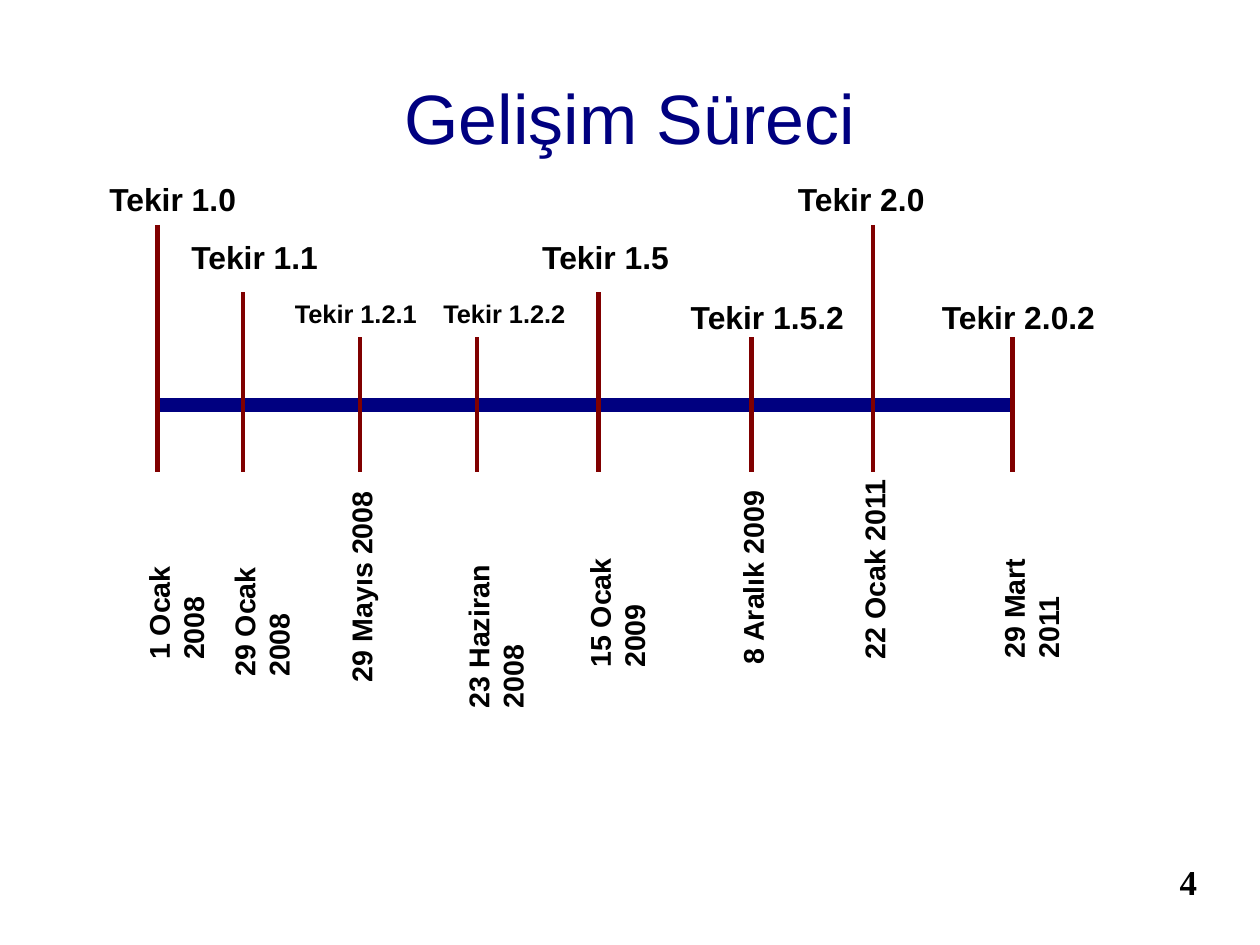
import pptx
import pptx.util
import pptx.dml.color
import pptx.enum.shapes
import pptx.enum.text
import pptx.oxml.ns
from lxml import etree

COLORS = {"navy": "000080", "red": "800000", "black": "000000"}
COLS, ROWS = 28, 21
CELL = 11.02 / COLS
AXIS, FOOT = 9, 10.5
ALIGN = pptx.enum.text.PP_ALIGN
ANCHOR = pptx.enum.text.MSO_ANCHOR

# Row of the label and of the tick's upper end, for each tier
TIERS = {"high": (3.88, 5), "mid": (5.15, 6.5), "low": (6.5, 7.5)}

# Column, tier, label, label's column, width and size, date, its middle row and length
EVENTS = [
    (3.5, "high", "Tekir 1.0", 2.18, 3.33, 20, "1 Ocak 2008", 12.83, 4.17),
    (5.4, "mid", "Tekir 1.1", 4, 3.33, 20, "29 Ocak 2008", 13.03, 4.52),
    (8, "low", "Tekir 1.2.1", 6.3, 3.23, 16, "29 Mayıs 2008", 13.03, 4.75),
    (10.6, "low", "Tekir 1.2.2", 9.6, 3.23, 16, "23 Haziran 2008", 13.36, 5.26),
    (13.3, "mid", "Tekir 1.5", 11.8, 3.33, 20, "15 Ocak 2009", 12.83, 4.52),
    (16.7, "low", "Tekir 1.5.2", 15.1, 3.91, 20, "8 Aralık 2009", 12.83, 4.37),
    (19.4, "high", "Tekir 2.0", 17.48, 3.33, 20, "22 Ocak 2011", 12.65, 4.5),
    (22.5, "low", "Tekir 2.0.2", 20.68, 3.91, 20, "29 Mart 2011", 12.75, 4.27),
]


def grid(*cells):
    return [pptx.util.Inches(cell * CELL) for cell in cells]


def paint(name):
    return pptx.dml.color.RGBColor.from_string(COLORS[name])


def add_text(slide, text, area, size, color="black", bold=True, face="Arial",
             align=ALIGN.LEFT, anchor=ANCHOR.TOP, wrap=False, pad=(0.1, 0.05)):
    box = slide.shapes.add_textbox(*grid(*area))
    frame = box.text_frame
    frame.word_wrap = wrap
    frame.vertical_anchor = anchor
    frame.margin_left = frame.margin_right = pptx.util.Inches(pad[0])
    frame.margin_top = frame.margin_bottom = pptx.util.Inches(pad[1])
    frame.text = text
    line = frame.paragraphs[0]
    line.alignment = align
    font = line.runs[0].font
    font.name, font.size, font.bold = face, pptx.util.Pt(size), bold
    font.color.rgb = paint(color)
    return box


def add_line(slide, ends, color, width):
    kind = pptx.enum.shapes.MSO_CONNECTOR.STRAIGHT
    line = slide.shapes.add_connector(kind, *grid(*ends))
    line.line.color.rgb = paint(color)
    line.line.width = pptx.util.Pt(width)
    etree.SubElement(line._element.spPr, pptx.oxml.ns.qn("a:effectLst"))


def add_event(slide, col, tier, label, left, width, size, date, middle, length):
    row, top = TIERS[tier]
    add_line(slide, (col, top, col, FOOT), "red", 2.83)
    add_text(slide, label, (left, row, width, size * 0.052), size)
    depth = 0.97
    area = (col - length / 2, middle - depth / 2, length, depth)
    add_text(slide, date, area, 18).rotation = 270


def main():
    deck = pptx.Presentation()
    deck.slide_width, deck.slide_height = grid(COLS, ROWS)
    slide = deck.slides.add_slide(deck.slide_layouts[6])
    add_text(slide, "Gelişim Süreci", (1.4, 0.84, 25.2, 3.5), 44, "navy", False,
             align=ALIGN.CENTER, anchor=ANCHOR.MIDDLE, wrap=True, pad=(0, 0))
    add_line(slide, (EVENTS[0][0], AXIS, EVENTS[-1][0], AXIS), "navy", 8.5)
    for event in EVENTS:
        add_event(slide, *event)
    add_text(slide, "4", (20.07, 19.13, 6.53, 1.45), 22, face="Times New Roman",
             align=ALIGN.RIGHT, wrap=True, pad=(0, 0))
    deck.save("out.pptx")


if __name__ == "__main__":
    main()
